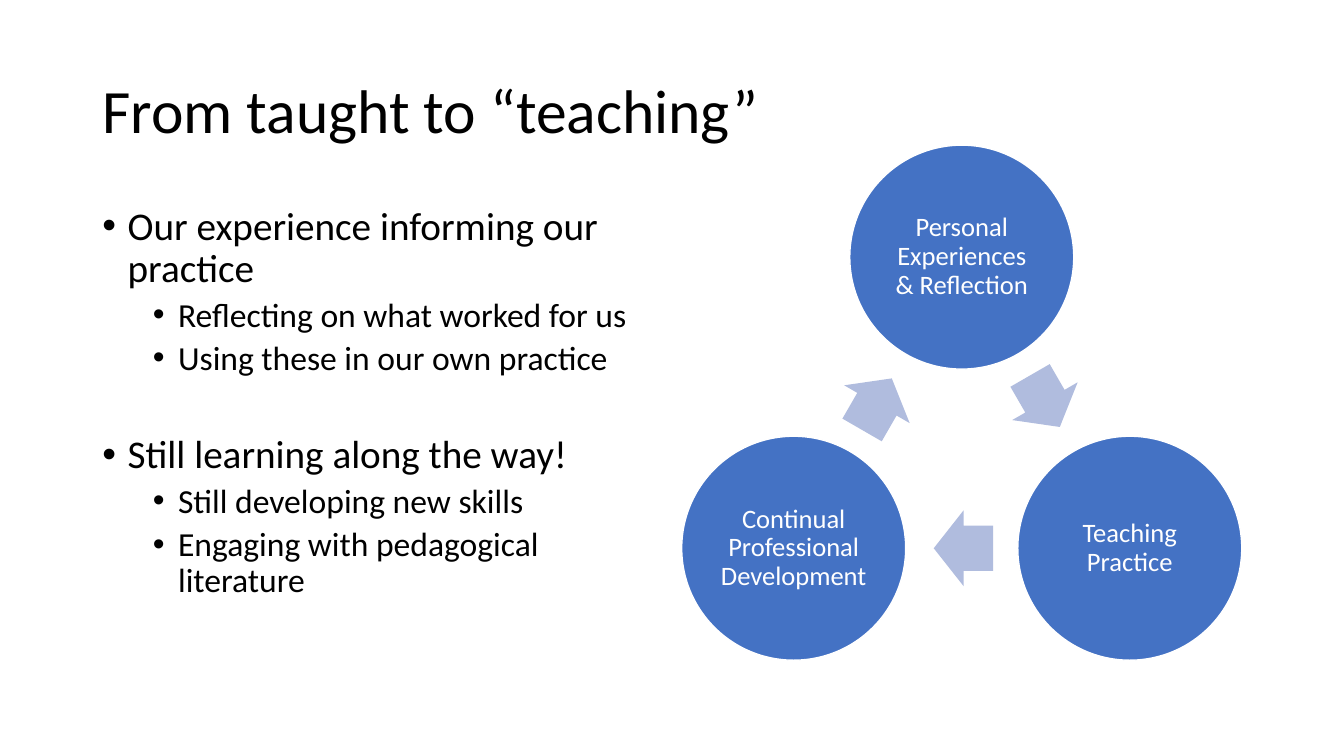
from math import cos, sin, radians
from pptx import Presentation
from pptx.dml.color import RGBColor as Rgb
from pptx.enum.shapes import MSO_SHAPE as Shape
from pptx.enum.text import MSO_ANCHOR as Anchor, MSO_AUTO_SIZE as Fit, PP_ALIGN as Align
from pptx.oxml.ns import qn
from pptx.util import Pt
from lxml.etree import SubElement

HUES = {"ink": "000000", "paper": "FFFFFF", "disc": "4472C4", "arrow": "B0BCDE"}


def write(frame, text, size, hue="ink", align=Align.LEFT, level=0, gap=0, indent=None):
    para = frame.paragraphs[0] if not frame.text else frame.add_paragraph()
    para.text = text
    para.level = level
    para.alignment = align
    para.line_spacing = 0.9
    para.space_before = Pt(gap)
    if indent is not None:
        props = para._p.get_or_add_pPr()
        props.set("marL", str(Pt(indent)))
        props.set("indent", str(Pt(-18)))
        SubElement(props, qn("a:buFont")).set("typeface", "Arial")
        SubElement(props, qn("a:buChar")).set("char", "•")
    para.font.size = Pt(size)
    para.font.name = "Calibri"
    para.font.color.rgb = Rgb.from_string(HUES[hue])


def add(kind, x, y, wide, high, hue):
    shape = slide.shapes.add_shape(
        kind, Pt(x - wide / 2), Pt(y - high / 2), Pt(wide), Pt(high))
    shape.shadow.inherit = False
    shape.fill.solid()
    shape.fill.fore_color.rgb = Rgb.from_string(HUES[hue])
    shape.line.fill.background()
    return shape


deck = Presentation()
deck.slide_width, deck.slide_height = Pt(960), Pt(540)
slide = deck.slides.add_slide(deck.slide_layouts[1])
title, body = slide.placeholders

for holder, box, anchor in [
    (title, (66, 28.75, 828, 104.4), Anchor.MIDDLE),
    (body, (66, 143.75, 414, 367), Anchor.TOP),
]:
    holder.left, holder.top, holder.width, holder.height = map(Pt, box)
    frame = holder.text_frame
    frame.word_wrap = True
    frame.auto_size = Fit.NONE
    frame.vertical_anchor = anchor

write(title.text_frame, "From taught to “teaching”", size=44)

points = [
    ("Our experience informing our practice", 0, 0),
    ("Reflecting on what worked for us", 1, 5),
    ("Using these in our own practice", 1, 5),
    ("Still learning along the way!", 0, 41),
    ("Still developing new skills", 1, 5),
    ("Engaging with pedagogical literature", 1, 5),
]
for text, level, gap in points:
    write(body.text_frame, text, size=28 - 4 * level, level=level, gap=gap,
          indent=18 + 36 * level)

mid_x, mid_y, reach = 687, 322.3, 138.6
steps = ["Personal Experiences & Reflection", "Teaching Practice",
         "Continual Professional Development"]
for i, text in enumerate(steps):
    turn = radians(120 * i - 90)
    disc = add(Shape.OVAL, mid_x + reach * cos(turn), mid_y + reach * sin(turn),
               160, 160, "disc")
    disc.line.color.rgb = Rgb.from_string(HUES["paper"])
    disc.line.width = Pt(1)
    frame = disc.text_frame
    frame.word_wrap = True
    frame.vertical_anchor = Anchor.MIDDLE
    frame.margin_left = frame.margin_right = Pt(2)
    frame.margin_top = frame.margin_bottom = Pt(2)
    write(frame, text, size=19, hue="paper", align=Align.CENTER)

    turn = radians(120 * i - 31)
    arrow = add(Shape.RIGHT_ARROW, mid_x + reach / 2 * cos(turn),
                mid_y + reach / 2 * sin(turn), 42.5, 54, "arrow")
    arrow.rotation = 60 + 120 * i
    arrow.adjustments[0] = 0.6
    arrow.adjustments[1] = 0.5

deck.save("out.pptx")
